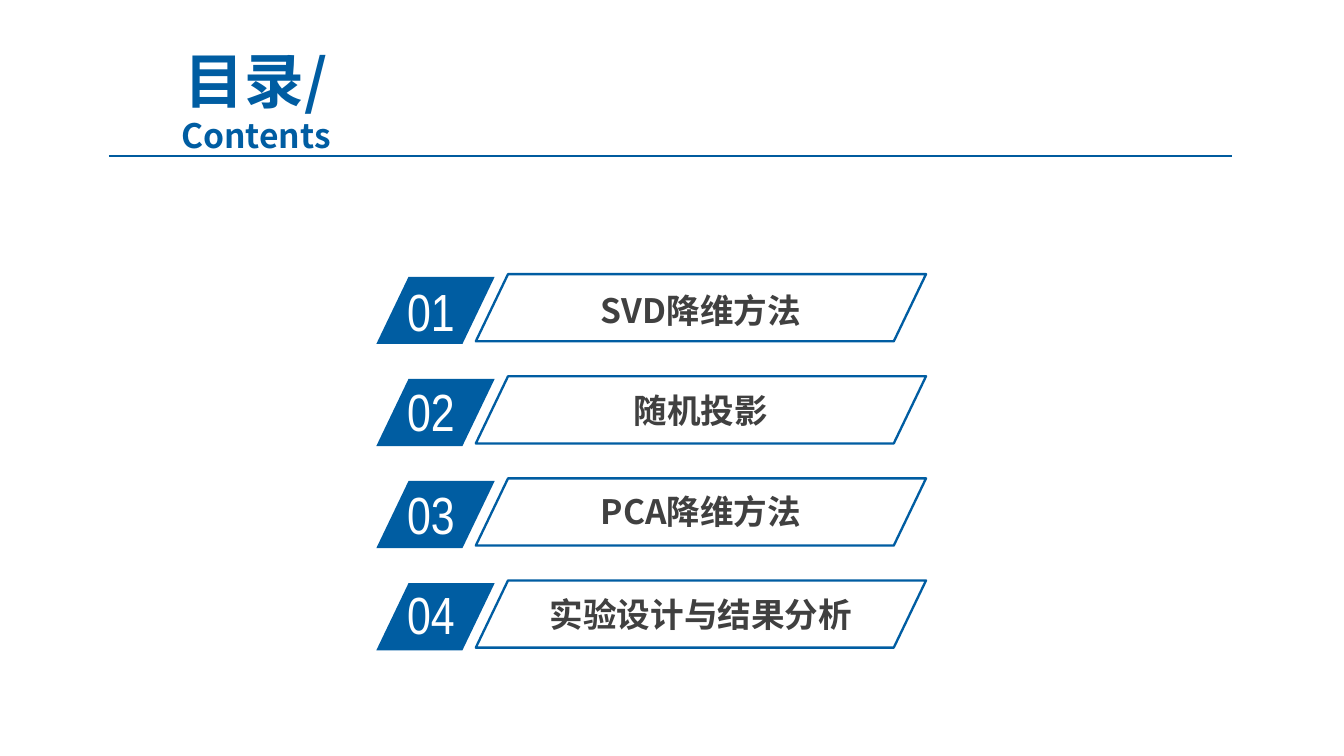
"""Build the contents slide with four numbered sections."""
from dataclasses import dataclass

from lxml.etree import SubElement
from pptx import Presentation
from pptx.dml.color import RGBColor
from pptx.enum.shapes import MSO_CONNECTOR as Link, MSO_SHAPE as Form
from pptx.enum.text import MSO_ANCHOR as Anchor, MSO_AUTO_SIZE as Fit, PP_ALIGN as Align
from pptx.oxml.ns import qn
from pptx.util import Pt

BLUE, GREY, WHITE = "005DA2", "404040", "FFFFFF"
SANS, SLIM = "Noto Sans CJK SC", "Arial Narrow"
TOP, STEP = 146.9, 54.7
LEFT, WIDE = 254.9, 241.2


@dataclass
class Item:
    label: str
    width: float
    num_top: float
    label_top: float


ITEMS = [
    Item("SVD降维方法", 123.1, 146.2, 152.6),
    Item("随机投影", 84.2, 199.4, 205.9),
    Item("PCA降维方法", 123.1, 254.9, 259.9),
    Item("实验设计与结果分析", 177.1, 308.2, 315.4),
]


def color(code: str) -> RGBColor:
    return RGBColor.from_string(code)


def style(run, size: float, face: str, code: str, bold: bool = False) -> None:
    font = run.font
    font.size, font.name, font.bold = Pt(size), face, bold
    font.color.rgb = color(code)
    SubElement(font._element, qn("a:ea")).set("typeface", face)


def place(shape, x: float, y: float, w: float, h: float) -> None:
    shape.left, shape.top, shape.width, shape.height = Pt(x), Pt(y), Pt(w), Pt(h)


def slant(slide, x: float, y: float, w: float):
    shape = slide.shapes.add_shape(Form.PARALLELOGRAM, Pt(x), Pt(y), Pt(w), Pt(36))
    shape.adjustments[0] = 0.48
    shape.shadow.inherit = False
    return shape


def write(slide, text: str, x: float, y: float, w: float, h: float):
    frame = slide.shapes.add_textbox(Pt(x), Pt(y), Pt(w), Pt(h)).text_frame
    frame.text = text
    frame.auto_size = Fit.SHAPE_TO_FIT_TEXT
    return frame


def head(slide) -> None:
    title = slide.shapes.title
    place(title, 48.2, 33.8, 177.8, 38.9)
    frame = title.text_frame
    frame.text = "目录/\vContents"
    frame.word_wrap, frame.auto_size = True, Fit.NONE
    frame.vertical_anchor = Anchor.MIDDLE
    para = frame.paragraphs[0]
    para.alignment, para.space_before = Align.CENTER, Pt(6.4)
    for run, size in zip(para.runs, (32, 18)):
        style(run, size, SANS, BLUE, True)
    rule = slide.shapes.add_connector(
        Link.STRAIGHT, Pt(58.3), Pt(83.5), Pt(660.2), Pt(83.5))
    rule.line.color.rgb = color("005B9E")
    rule.line.width = Pt(0.75)
    SubElement(rule._element.spPr, qn("a:effectLst"))


def badge(slide, num: int, item: Item, y: float) -> None:
    shape = slant(slide, 201.6, y + 1.4, 63.4)
    shape.fill.solid()
    shape.fill.fore_color.rgb = color(BLUE)
    shape.line.fill.background()
    frame = write(slide, f"{num:02}", 211, item.num_top, 60.5, 35.3)
    frame.word_wrap = True
    style(frame.paragraphs[0].runs[0], 28, SLIM, WHITE)


def panel(slide, item: Item, y: float) -> None:
    x = LEFT + (WIDE - item.width) / 2
    frame = write(slide, item.label, x, item.label_top, item.width, 27.4)
    frame.word_wrap = False
    frame.margin_left = frame.margin_right = Pt(5)
    frame.margin_top = frame.margin_bottom = Pt(2.9)
    para = frame.paragraphs[0]
    para.alignment = Align.CENTER
    style(para.runs[0], 18, SANS, GREY, True)
    shape = slant(slide, LEFT, y, WIDE)
    shape.fill.background()
    shape.line.color.rgb = color(BLUE)
    shape.line.width = Pt(1.25)


def main() -> None:
    deck = Presentation()
    deck.slide_width, deck.slide_height = Pt(720), Pt(405)
    slide = deck.slides.add_slide(deck.slide_layouts[5])
    head(slide)
    for row, item in enumerate(ITEMS):
        y = TOP + row * STEP
        badge(slide, row + 1, item, y)
        panel(slide, item, y)
    deck.save("out.pptx")


if __name__ == "__main__":
    main()
